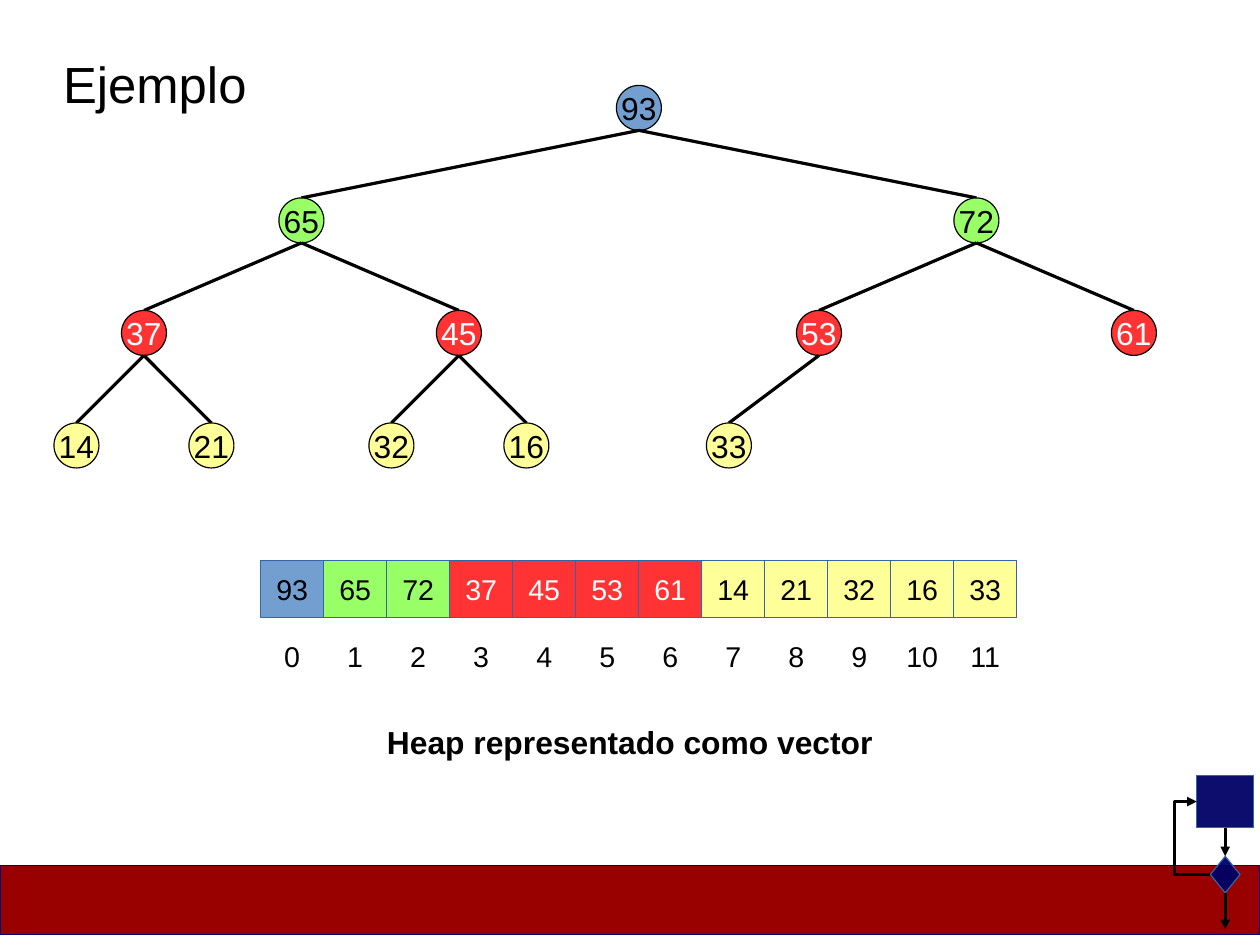
from lxml.etree import SubElement
from pptx import Presentation
from pptx.dml.color import RGBColor
from pptx.enum.shapes import MSO_CONNECTOR, MSO_SHAPE
from pptx.enum.text import MSO_ANCHOR, PP_ALIGN
from pptx.oxml.ns import qn
from pptx.util import Pt

COLORS = {
    "black": "000000", "white": "FFFFFF", "band": "990000", "navy": "000080",
    "flow": "000066", "edge": "3465A4", "blue": "729FCF", "green": "99FF66",
    "red": "FF3333", "yellow": "FFFF99",
}
LEVELS = [("blue", "black"), ("green", "black"), ("red", "white"), ("yellow", "black")]
HEAP = [93, 65, 72, 37, 45, 53, 61, 14, 21, 32, 16, 33]
SHIFTS = [0, 212.6, 99.2, 42.5]
LAST_SHIFT = 56.7
NODE = 28.35


def color(name):
    return RGBColor.from_string(COLORS[name])


def level(index):
    return (index + 1).bit_length() - 1


def write(shape, text, size, ink="black", align=PP_ALIGN.CENTER, bold=False):
    frame = shape.text_frame
    frame.text = str(text)
    frame.vertical_anchor = MSO_ANCHOR.MIDDLE
    para = frame.paragraphs[0]
    para.alignment = align
    font = para.runs[0].font
    font.name, font.size, font.bold = "Arial", Pt(size), bold
    font.color.rgb = color(ink)


def add_box(shapes, kind, box, fill, line):
    shape = shapes.add_shape(kind, *map(Pt, box))
    shape.shadow.inherit = False
    shape.fill.solid()
    shape.fill.fore_color.rgb = color(fill)
    shape.line.color.rgb = color(line)
    shape.line.width = Pt(0)
    return shape


def add_label(shapes, box, text, size, **style):
    label = shapes.add_textbox(*map(Pt, box))
    frame = label.text_frame
    frame.margin_left = frame.margin_right = 0
    frame.margin_top = frame.margin_bottom = 0
    frame.word_wrap = True
    write(label, text, size, **style)


def add_line(shapes, start, end, kind=MSO_CONNECTOR.STRAIGHT, arrow=False):
    line = shapes.add_connector(kind, *map(Pt, (*start, *end)))
    line.line.color.rgb = color("black")
    line.line.width = Pt(0)
    props = line._element.spPr
    if arrow:
        SubElement(props.find(qn("a:ln")), qn("a:tailEnd"), type="triangle")
    SubElement(props, qn("a:effectLst"))
    return line


def draw_flow(slide, box):
    left, top, width, height = box
    shapes = slide.shapes.add_group_shape().shapes
    mid = left + width / 2
    gem_w, gem_h, gem_top = 18.7, 23, top + 51
    step_h = 33
    gem_left = mid - gem_w / 2
    gem = (gem_left, gem_top, gem_w, gem_h)
    step = (left, top, width, step_h)
    for kind, part in ((MSO_SHAPE.FLOWCHART_DECISION, gem), (MSO_SHAPE.FLOWCHART_PROCESS, step)):
        shape = add_box(shapes, kind, part, "flow", "edge")
        tone = shape._element.spPr.find(qn("a:solidFill"))[0]
        SubElement(tone, qn("a:alpha"), val="95000")
    add_line(shapes, (mid, top + step_h), (mid, gem_top), arrow=True)
    loop = add_line(shapes, (left, top + step_h / 2), (gem_left, gem_top + gem_h / 2),
                    MSO_CONNECTOR.ELBOW, True)
    props = loop._element.spPr
    props.find(qn("a:xfrm")).set("rot", "10800000")
    guides = props.find(qn("a:prstGeom")).find(qn("a:avLst"))
    SubElement(guides, qn("a:gd"), name="adj1", fmla="val 263700")
    add_line(shapes, (mid, gem_top + gem_h), (mid, top + height), arrow=True)


def draw_tree(slide, box):
    left, top, width, height = box
    gap = (height - NODE) / 3
    mids = []
    for index, value in enumerate(HEAP):
        depth = level(index)
        fill, ink = LEVELS[depth]
        y = top + depth * gap
        if index == 0:
            x = left + width / 2
        else:
            up = mids[(index - 1) // 2]
            shift = LAST_SHIFT if index == len(HEAP) - 1 else SHIFTS[depth]
            x = up + (-shift if index % 2 else shift)
            add_line(slide.shapes, (x, y), (up, y - gap + NODE))
        mids.append(x)
        node = add_box(slide.shapes, MSO_SHAPE.OVAL, (x - NODE / 2, y, NODE, NODE), fill, "black")
        node.text_frame.word_wrap = False
        write(node, value, 20, ink)


def draw_array(slide, box):
    left, top, width, height = box
    cell_w, cell_h = width / len(HEAP), 36
    for index, value in enumerate(HEAP):
        x = left + index * cell_w
        fill, ink = LEVELS[level(index)]
        cell = add_box(slide.shapes, MSO_SHAPE.RECTANGLE, (x, top, cell_w, cell_h), fill, "edge")
        cell.text_frame.word_wrap = False
        write(cell, value, 18, ink)
        add_label(slide.shapes, (x, top + height - cell_h, cell_w, cell_h), index, 18)


def main():
    deck = Presentation()
    deck.slide_width, deck.slide_height = Pt(793.7), Pt(595.28)
    slide = deck.slides.add_slide(deck.slide_layouts[6])
    add_box(slide.shapes, MSO_SHAPE.RECTANGLE, (0, 545.4, 793.7, 43.2), "band", "navy")
    draw_flow(slide, (753.8, 488.4, 36, 97))
    add_label(slide.shapes, (39.7, 34, 300, 37), "Ejemplo", 32, align=PP_ALIGN.LEFT)
    draw_tree(slide, (34, 53.8, 737, 241))
    draw_array(slide, (164.2, 353, 476.3, 78.5))
    add_label(slide.shapes, (39.7, 455.5, 714.3, 23), "Heap representado como vector", 20, bold=True)
    deck.save("out.pptx")


if __name__ == "__main__":
    main()
